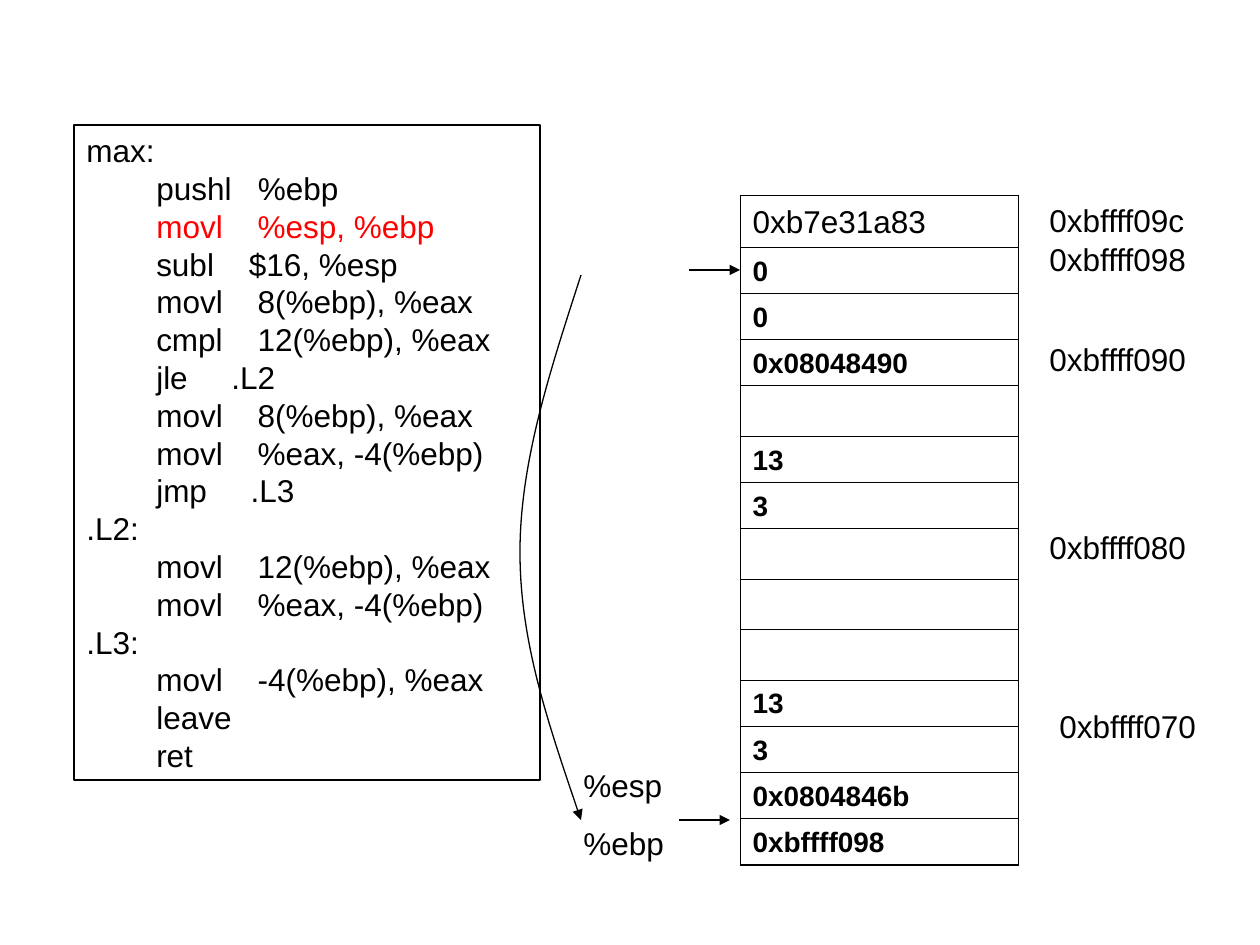
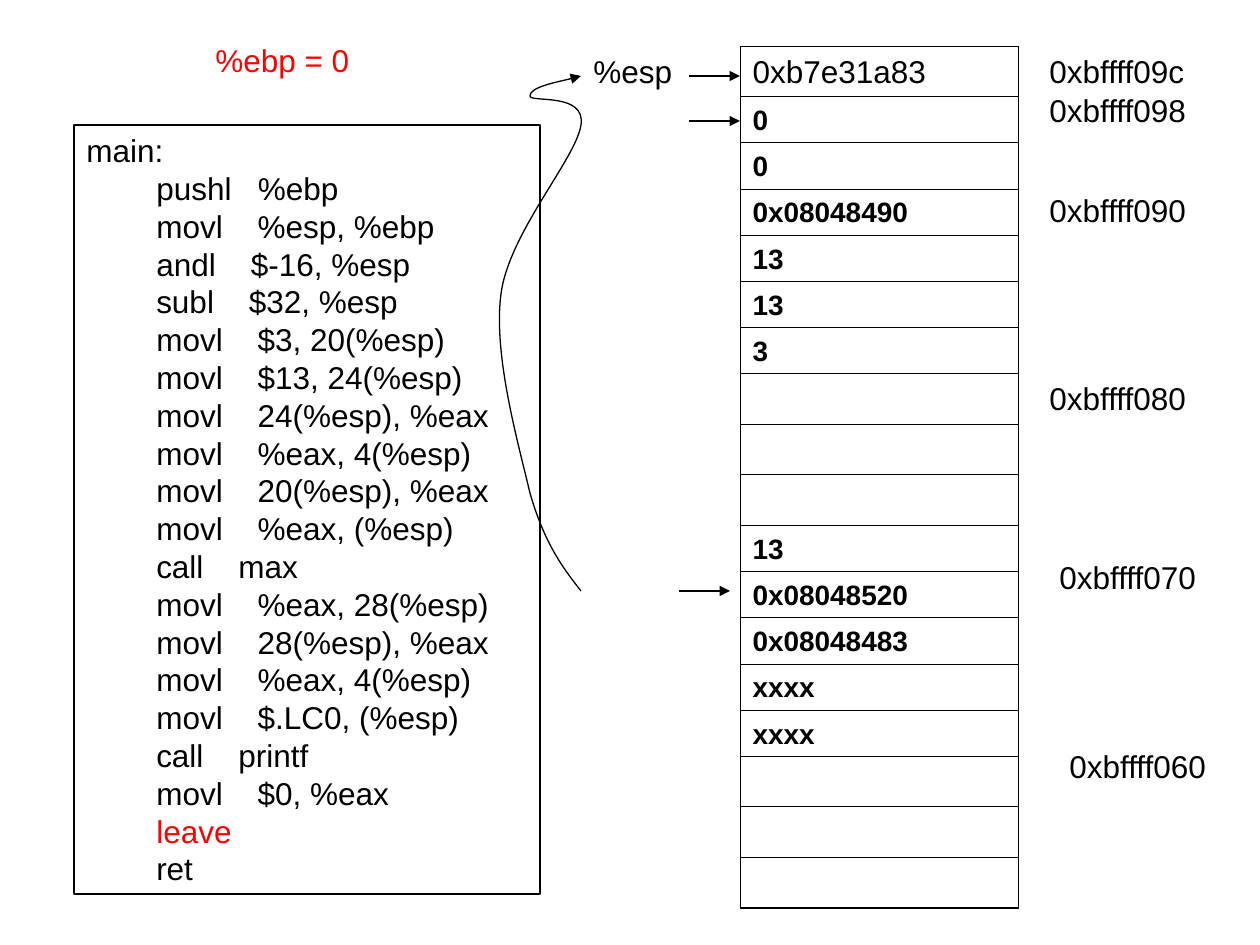
from typing import NamedTuple

from lxml.etree import SubElement
from pptx import Presentation
from pptx.dml.color import RGBColor
from pptx.enum.shapes import MSO_CONNECTOR, MSO_SHAPE
from pptx.enum.text import MSO_ANCHOR, MSO_AUTO_SIZE, PP_ALIGN
from pptx.oxml.ns import qn
from pptx.util import Emu, Pt

PX = 914400 / 126
BLACK = RGBColor(0x00, 0x00, 0x00)
RED = RGBColor(0xFF, 0x00, 0x00)
FONT = "Arial"
SIZE, BOLD_SIZE = 18, 16
LINE_FACTOR = 1.2
LINE_WIDTH = Pt(0.75)
CELL_LINE, LAST_LINE = Pt(0.45), Pt(1.08)

CODE_LEFT, CODE_TOP, CODE_WIDTH = 74, 125, 466
STACK_LEFT, STACK_WIDTH = 740, 278
VALUE_HEIGHT, EMPTY_HEIGHT = 46, 50
LABEL_HEIGHT = 50

MAX_CODE = """\
max:
        pushl   %ebp
        movl    %esp, %ebp
        subl    $16, %esp
        movl    8(%ebp), %eax
        cmpl    12(%ebp), %eax
        jle     .L2
        movl    8(%ebp), %eax
        movl    %eax, -4(%ebp)
        jmp     .L3
.L2:
        movl    12(%ebp), %eax
        movl    %eax, -4(%ebp)
.L3:
        movl    -4(%ebp), %eax
        leave
        ret"""

MAIN_CODE = """\
main:
        pushl   %ebp
        movl    %esp, %ebp
        andl    $-16, %esp
        subl    $32, %esp
        movl    $3, 20(%esp)
        movl    $13, 24(%esp)
        movl    24(%esp), %eax
        movl    %eax, 4(%esp)
        movl    20(%esp), %eax
        movl    %eax, (%esp)
        call    max
        movl    %eax, 28(%esp)
        movl    28(%esp), %eax
        movl    %eax, 4(%esp)
        movl    $.LC0, (%esp)
        call    printf
        movl    $0, %eax
        leave
        ret"""


class Label(NamedTuple):
    text: str
    left: int
    top: int
    width: int = 179
    height: int = LABEL_HEIGHT
    wrap: bool = True
    color: RGBColor = BLACK


class Arrow(NamedTuple):
    left: int
    right: int
    y: int


class Frame(NamedTuple):
    """One step of the program: its code, its stack and its pointers."""
    code: str
    current: str
    code_height: int
    stack_top: int
    first_height: int
    stack: list[str]
    address_count: int
    notes: list[Label]
    arrows: list[Arrow]
    curve: list[tuple[int, int]]


# Tops are measured from the top of the stack.
ADDRESSES = [
    Label("0xbffff09c", 1037, 0),
    Label("0xbffff098", 1037, 39),
    Label("0xbffff090", 1037, 139),
    Label("0xbffff080", 1037, 327, 164, wrap=False),
    Label("0xbffff070", 1047, 506, 164, wrap=False),
    Label("0xbffff060", 1057, 695, 164, wrap=False),
]

FRAMES = [
    Frame(
        MAX_CODE, "movl    %esp, %ebp", 655, 195, 52,
        ["0xb7e31a83", "0", "0", "0x08048490", "", "13", "3", "", "", "",
         "13", "3", "0x0804846b", "0xbffff098"],
        5,
        [Label("%esp\n%ebp", 571, 760, 120, 108)],
        [Arrow(689, 740, 270), Arrow(679, 730, 820)],
        [(581, 275), (551, 368), (520, 461), (520, 552),
         (520, 643), (551, 731), (581, 820)],
    ),
    Frame(
        MAIN_CODE, "leave", 769, 46, 50,
        ["0xb7e31a83", "0", "0", "0x08048490", "13", "13", "3", "", "", "",
         "13", "0x08048520", "0x08048483", "xxxx", "xxxx", "", "", ""],
        6,
        [Label("%esp", 581, 46, 120),
         Label("%ebp = 0", 203, 35, color=RED)],
        [Arrow(689, 740, 121), Arrow(679, 730, 591), Arrow(689, 740, 76)],
        [(581, 591), (562, 567), (544, 542), (530, 493),
         (518, 442), (493, 355), (501, 294),
         (509, 233), (576, 159), (581, 125),
         (586, 92), (530, 103), (530, 96),
         (530, 87), (572, 79), (581, 76)],
    ),
]


def px(length: int) -> Emu:
    return Emu(round(length * PX))


def box(left: int, top: int, width: int, height: int) -> tuple[Emu, ...]:
    return px(left), px(top), px(width), px(height)


def set_spacing(p, size: int) -> None:
    p.alignment = PP_ALIGN.LEFT
    p.line_spacing = Pt(size * LINE_FACTOR)


def add_run(p, text: str, color: RGBColor = BLACK, size: int = SIZE,
            bold: bool = False) -> None:
    r = p.add_run()
    r.text = text
    r.font.name, r.font.size, r.font.bold = FONT, Pt(size), bold
    r.font.color.rgb = color


def next_paragraph(tf, index: int):
    p = tf.add_paragraph() if index else tf.paragraphs[0]
    set_spacing(p, SIZE)
    return p


def set_line(sp) -> None:
    sp.line.color.rgb = BLACK
    sp.line.width = LINE_WIDTH


def add_arrowhead(sp) -> None:
    ln = sp._element.spPr.find(qn("a:ln"))
    SubElement(ln, qn("a:tailEnd"), type="triangle")


def add_code(s, frame: Frame) -> None:
    sp = s.shapes.add_shape(
        MSO_SHAPE.RECTANGLE,
        *box(CODE_LEFT, CODE_TOP, CODE_WIDTH, frame.code_height))
    sp.shadow.inherit = False
    sp.fill.background()
    set_line(sp)
    tf = sp.text_frame
    tf.word_wrap = True
    tf.auto_size = MSO_AUTO_SIZE.SHAPE_TO_FIT_TEXT
    tf.vertical_anchor = MSO_ANCHOR.TOP
    for i, line in enumerate(frame.code.splitlines()):
        p = next_paragraph(tf, i)
        instruction = line.lstrip()
        if instruction == frame.current:
            add_run(p, line.removesuffix(instruction))
            add_run(p, instruction, RED)
        else:
            add_run(p, line)


def set_borders(cell, bottom: Emu) -> None:
    tc_pr = cell._tc.get_or_add_tcPr()
    for side in "LRTB":
        width = bottom if side == "B" else CELL_LINE
        ln = SubElement(tc_pr, qn(f"a:ln{side}"), w=str(width))
        fill = SubElement(ln, qn("a:solidFill"))
        SubElement(fill, qn("a:srgbClr"), val=str(BLACK))


def add_stack(s, frame: Frame) -> None:
    heights = [VALUE_HEIGHT if value else EMPTY_HEIGHT for value in frame.stack]
    heights[0] = frame.first_height
    table = s.shapes.add_table(
        len(heights), 1,
        *box(STACK_LEFT, frame.stack_top, STACK_WIDTH, sum(heights))).table
    table.first_row = table.horz_banding = False
    for i, (value, height) in enumerate(zip(frame.stack, heights)):
        table.rows[i].height = px(height)
        cell = table.cell(i, 0)
        cell.vertical_anchor = MSO_ANCHOR.MIDDLE
        set_borders(cell, LAST_LINE if i == len(heights) - 1 else CELL_LINE)
        cell.fill.background()
        bold = i > 0 and value != ""
        size = BOLD_SIZE if bold else SIZE
        p = cell.text_frame.paragraphs[0]
        set_spacing(p, size)
        if value:
            add_run(p, value, size=size, bold=bold)


def add_label(s, label: Label, offset: int = 0) -> None:
    sp = s.shapes.add_textbox(
        *box(label.left, label.top + offset, label.width, label.height))
    tf = sp.text_frame
    tf.word_wrap = label.wrap
    tf.auto_size = MSO_AUTO_SIZE.SHAPE_TO_FIT_TEXT
    for i, line in enumerate(label.text.splitlines()):
        p = next_paragraph(tf, i)
        if i:
            p.space_before = Pt(11.2)
        add_run(p, line, label.color)


def add_arrow(s, arrow: Arrow) -> None:
    sp = s.shapes.add_connector(
        MSO_CONNECTOR.STRAIGHT,
        px(arrow.left), px(arrow.y), px(arrow.right), px(arrow.y))
    set_line(sp)
    add_arrowhead(sp)
    SubElement(sp._element.spPr, qn("a:effectLst"))


def add_curve(s, points: list[tuple[int, int]]) -> None:
    """Draw an arrow of Bézier arcs: a start, then three points for each arc."""
    builder = s.shapes.build_freeform(*points[0], scale=PX)
    builder.add_line_segments(points[1:], close=False)
    sp = builder.convert_to_shape()
    outline = next(sp._element.iter(qn("a:path")))
    segments = outline.findall(qn("a:lnTo"))
    for i in range(0, len(segments), 3):
        arc = SubElement(outline, qn("a:cubicBezTo"))
        for segment in segments[i:i + 3]:
            arc.append(segment[0])
            outline.remove(segment)
    sp.shadow.inherit = False
    sp.fill.background()
    set_line(sp)
    add_arrowhead(sp)


def add_frame(prs, frame: Frame) -> None:
    s = prs.slides.add_slide(prs.slide_layouts[6])
    add_code(s, frame)
    add_stack(s, frame)
    for address in ADDRESSES[:frame.address_count]:
        add_label(s, address, frame.stack_top)
    for note in frame.notes:
        add_label(s, note)
    for arrow in frame.arrows:
        add_arrow(s, arrow)
    add_curve(s, frame.curve)


def main() -> None:
    prs = Presentation()
    prs.slide_width, prs.slide_height = px(1260), px(945)
    for frame in FRAMES:
        add_frame(prs, frame)
    prs.save("out.pptx")


if __name__ == "__main__":
    main()
